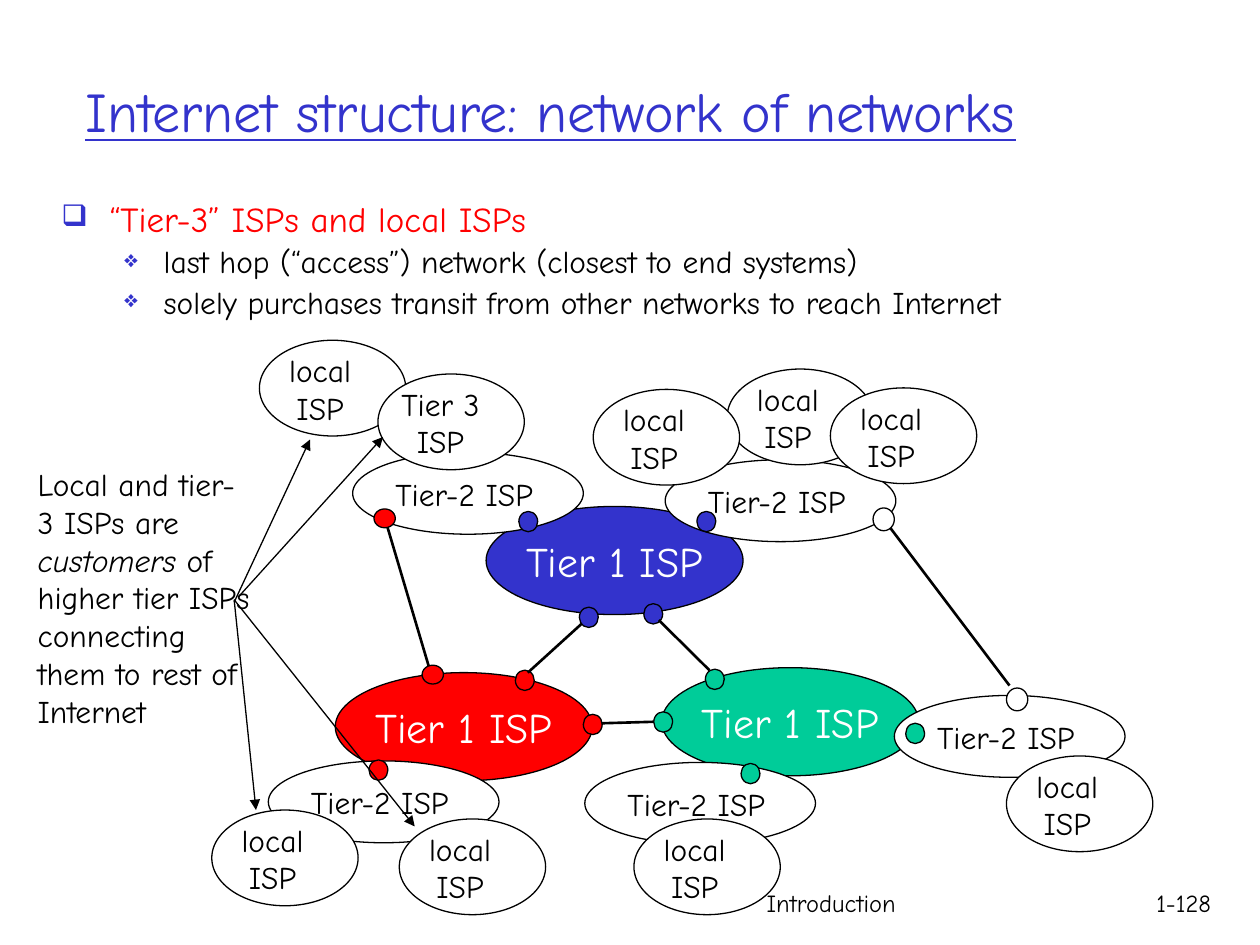
from dataclasses import dataclass
from typing import NamedTuple

from lxml import etree
from pptx import Presentation
from pptx import util as u
from pptx.dml.color import RGBColor
from pptx.enum import shapes, text
from pptx.oxml import ns


@dataclass(frozen=True)
class Theme:
    font: str = "Comic Neue"
    black: str = "000000"
    white: str = "FFFFFF"
    blue: str = "3333CC"
    red: str = "FF0000"
    green: str = "00CC99"
    title: int = 32
    tier1: int = 24
    head: int = 20
    label: int = 18
    footer: int = 14
    outline: float = 0.75
    link: float = 1.5


class Box(NamedTuple):
    x: float
    y: float
    w: float
    h: float


class Dot(NamedTuple):
    x: float
    y: float
    color: str
    w: float = 0.38
    h: float = 0.41


class Link(NamedTuple):
    x1: float
    y1: float
    x2: float
    y2: float


class Tier1(NamedTuple):
    x: float
    y: float
    color: str


class Tier2(NamedTuple):
    x: float
    y: float
    dot: Dot


class Local(NamedTuple):
    x: float
    y: float
    name: str = "local"
    label_dx: float = 0.3
    label_w: float = 1.85


class Bullet(NamedTuple):
    words: str
    level: int
    char: str
    percent: int
    indent: float
    hang: float
    size: int
    color: str


T = Theme()

TIER1 = [Tier1(6.76, 13.56, T.red), Tier1(9.8, 10.21, T.blue), Tier1(13.34, 13.46, T.green)]
PEER_DOTS = [
    Dot(14.22, 13.49, T.green), Dot(12.98, 12.17, T.blue), Dot(11.68, 12.24, T.blue),
    Dot(10.39, 13.51, T.red), Dot(11.76, 14.4, T.red), Dot(13.18, 14.35, T.green),
]
PEER_LINKS = [
    Link(12.14, 14.58, 13.18, 14.55),
    Link(13.28, 12.5, 14.3, 13.51),
    Link(10.64, 13.56, 11.73, 12.57),
]
TIER2 = [
    Tier2(13.41, 9.27, Dot(14.05, 10.31, T.blue)),
    Tier2(7.11, 9.12, Dot(10.46, 10.31, T.blue)),
    Tier2(5.41, 15.34, Dot(7.44, 15.32, T.red)),
    Tier2(11.79, 15.37, Dot(14.94, 15.39, T.green)),
    Tier2(18.03, 14.02, Dot(18.26, 14.58, T.green)),
]
OUTER_LINKS = [Link(7.8, 10.59, 8.69, 13.59), Link(17.93, 10.62, 20.35, 13.82)]
OUTER_DOTS = [
    Dot(7.54, 10.26, T.red, 0.43, 0.38), Dot(8.51, 13.41, T.red, 0.43, 0.38),
    Dot(17.6, 10.24, T.white, 0.43, 0.46), Dot(20.29, 13.87, T.white, 0.43, 0.46),
]
LOCALS = [
    Local(14.66, 7.44), Local(11.96, 7.85), Local(16.74, 7.82), Local(4.27, 16.33),
    Local(5.23, 6.86), Local(7.62, 7.54, "Tier 3", 0.08, 2.36), Local(8.05, 16.51),
    Local(12.78, 16.51), Local(20.29, 15.24),
]
ARROWS = [
    Link(4.72, 12.14, 6.25, 8.86), Link(4.8, 12.04, 7.72, 8.81),
    Link(4.72, 12.09, 5.16, 16.33), Link(4.72, 12.09, 8.36, 16.66),
]
BULLETS = [
    Bullet("“Tier-3” ISPs and local ISPs", 0, "❑", 85, 0.97, 0.97, T.head, T.red),
    *(Bullet(words, 1, "❖", 75, 2.06, 0.79, T.label, T.black) for words in (
        "last hop (“access”) network (closest to end systems)",
        "solely purchases transit from other networks to reach Internet")),
]


def set_font(p, size: int, color: str) -> None:
    p.font.name = T.font
    p.font.size = u.Pt(size)
    p.font.color.rgb = RGBColor.from_string(color)


def add_text(s, box: Box, lines: list[str], size: int, color: str = T.black,
             align=text.PP_ALIGN.LEFT, wrap: bool = True):
    tf = s.shapes.add_textbox(*map(u.Cm, box)).text_frame
    tf.word_wrap = wrap
    if not wrap:
        tf.auto_size = text.MSO_AUTO_SIZE.SHAPE_TO_FIT_TEXT
    for i, line in enumerate(lines):
        p = tf.paragraphs[0] if i == 0 else tf.add_paragraph()
        p.text = line
        p.alignment = align
        set_font(p, size, color)
    return tf


def add_ellipse(s, box: Box, color: str):
    sp = s.shapes.add_shape(shapes.MSO_SHAPE.OVAL, *map(u.Cm, box))
    sp.shadow.inherit = False
    sp.fill.solid()
    sp.fill.fore_color.rgb = RGBColor.from_string(color)
    sp.line.color.rgb = RGBColor.from_string(T.black)
    sp.line.width = u.Pt(T.outline)
    return sp


def add_dot(s, dot: Dot) -> None:
    add_ellipse(s, Box(dot.x, dot.y, dot.w, dot.h), dot.color)


def add_line(s, link: Link, width: float, arrow: bool = False) -> None:
    c = s.shapes.add_connector(shapes.MSO_CONNECTOR.STRAIGHT, *map(u.Cm, link))
    c.line.color.rgb = RGBColor.from_string(T.black)
    c.line.width = u.Pt(width)
    if arrow:
        etree.SubElement(c.line._get_or_add_ln(), ns.qn("a:tailEnd"), type="triangle")
    etree.SubElement(c._element.spPr, ns.qn("a:effectLst"))


def add_tier1(s, isp: Tier1) -> None:
    tf = add_ellipse(s, Box(isp.x, isp.y, 5.18, 2.18), isp.color).text_frame
    tf.word_wrap = False
    tf.vertical_anchor = text.MSO_ANCHOR.MIDDLE
    p = tf.paragraphs[0]
    p.text = "Tier 1 ISP"
    p.alignment = text.PP_ALIGN.CENTER
    set_font(p, T.tier1, T.white)


def add_tier2(s, isp: Tier2) -> None:
    add_ellipse(s, Box(isp.x, isp.y, 4.65, 1.65), T.white)
    add_text(s, Box(isp.x + 0.61, isp.y + 0.33, 3.73, 1.02), ["Tier-2 ISP"], T.label, wrap=False)
    add_dot(s, isp.dot)


def add_local(s, isp: Local) -> None:
    add_ellipse(s, Box(isp.x, isp.y, 2.95, 1.93), T.white)
    add_text(s, Box(isp.x + isp.label_dx, isp.y + 0.09, isp.label_w, 1.78),
             [isp.name, "ISP"], T.label, align=text.PP_ALIGN.CENTER, wrap=False)


def add_bullets(s, box: Box, bullets: list[Bullet]) -> None:
    tf = add_text(s, box, [b.words for b in bullets], T.label)
    for p, b in zip(tf.paragraphs, bullets):
        set_font(p, b.size, b.color)
        p.level = b.level
        p.line_spacing = 0.9
        p.space_before = u.Pt(b.size * 0.2)
        pPr = p._p.get_or_add_pPr()
        pPr.set("marL", str(u.Cm(b.indent)))
        pPr.set("indent", str(-u.Cm(b.hang)))
        clr = etree.Element(ns.qn("a:buClr"))
        etree.SubElement(clr, ns.qn("a:srgbClr"), val=T.blue)
        size = etree.Element(ns.qn("a:buSzPct"), val=str(b.percent * 1000))
        char = etree.Element(ns.qn("a:buChar"), char=b.char)
        for el in (clr, size, char):
            pPr.find(ns.qn("a:defRPr")).addprevious(el)


def add_note(s, box: Box) -> None:
    tf = add_text(s, box, ["", "higher tier ISPs", "connecting them to rest of Internet"], T.label)
    for words, italic in (("Local and tier- 3 ISPs are ", False), ("customers", True), (" of", False)):
        r = tf.paragraphs[0].add_run()
        r.text = words
        r.font.italic = italic


def main() -> None:
    prs = Presentation()
    prs.slide_width, prs.slide_height = u.Cm(25.4), u.Cm(19.05)
    s = prs.slides.add_slide(prs.slide_layouts[6])
    add_text(s, Box(15.04, 17.78, 8.05, 1.27), [" Introduction"], T.footer)
    add_text(s, Box(23.06, 17.78, 1.73, 1.27), ["1-128"], T.footer)
    tf = add_text(s, Box(1.47, 0.64, 22.48, 3.18),
                  ["Internet structure: network of networks"], T.title, T.blue)
    tf.vertical_anchor = text.MSO_ANCHOR.MIDDLE
    tf.paragraphs[0].font.underline = True
    add_bullets(s, Box(0.99, 3.96, 23.44, 2.54), BULLETS)
    for draw, items in ((add_tier1, TIER1), (add_dot, PEER_DOTS)):
        for item in items:
            draw(s, item)
    for link in PEER_LINKS:
        add_line(s, link, T.link)
    for isp in TIER2:
        add_tier2(s, isp)
    for link in OUTER_LINKS:
        add_line(s, link, T.link)
    for draw, items in ((add_dot, OUTER_DOTS), (add_local, LOCALS)):
        for item in items:
            draw(s, item)
    add_note(s, Box(0.51, 9.25, 5, 6.35))
    for arrow in ARROWS:
        add_line(s, arrow, T.outline, arrow=True)
    prs.save("out.pptx")


if __name__ == "__main__":
    main()
